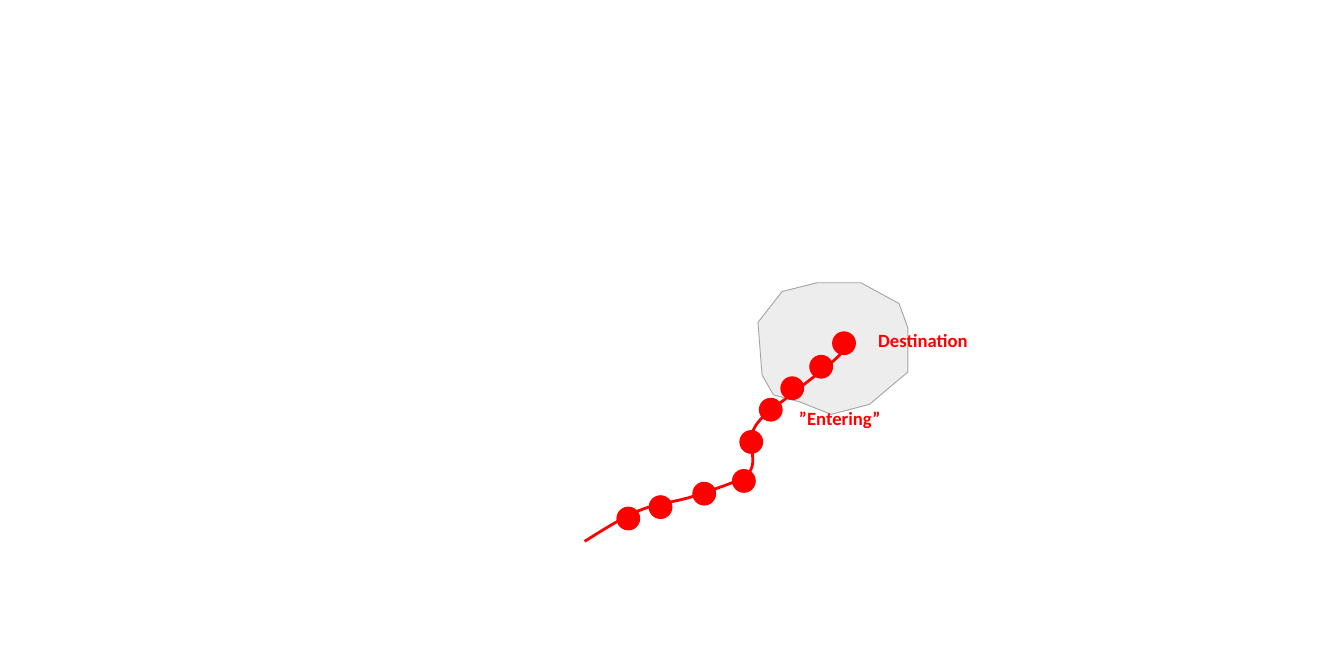
from pptx import Presentation
from pptx.dml.color import RGBColor as RGB
from pptx.enum.shapes import MSO_SHAPE as Shape
from pptx.enum.text import MSO_AUTO_SIZE as AutoSize
from pptx.util import Inches, Pt

COLORS = {"route": "FF0000", "zone": "EDEDED", "zone_edge": "A5A5A5"}
COLS, ROWS = 20, 9.96
CELL = Inches(1)
DOT = 0.34
STEPS = 10

ZONE = [(11.34, 5.58), (11.28, 4.8), (11.64, 4.34), (12.16, 4.21),
        (12.81, 4.21), (13.38, 4.52), (13.51, 4.88), (13.51, 5.54),
        (12.94, 6.02), (12.37, 6.17), (11.89, 5.98), (11.51, 5.88)]
ROUTE_START = (8.7, 8.06)
ROUTE_CURVES = [
    ((8.97, 7.89), (9.24, 7.72), (9.49, 7.61)),
    ((9.75, 7.5), (10, 7.48), (10.25, 7.41)),
    ((10.49, 7.33), (10.8, 7.23), (10.96, 7.16)),
    ((11.12, 7.08), (11.15, 7.07), (11.19, 6.95)),
    ((11.23, 6.84), (11.16, 6.59), (11.19, 6.46)),
    ((11.23, 6.33), (11.3, 6.26), (11.4, 6.16)),
    ((11.5, 6.07), (11.6, 6.01), (11.78, 5.87)),
    ((11.96, 5.72), (12.35, 5.44), (12.49, 5.29)),
    ((12.63, 5.15), (12.63, 4.98), (12.63, 4.98)),
]
STOPS = [(9.18, 7.55), (9.66, 7.38), (10.31, 7.18), (10.9, 6.99),
         (11.01, 6.41), (11.3, 5.93), (11.62, 5.61), (12.05, 5.29),
         (12.39, 4.94)]
LABELS = [("Destination", 12.97, 4.84, 1.55), ("”Entering”", 11.79, 6.01, 1.42)]


def grid(*cells):
    return [round(c * CELL) for c in cells]


def color(name):
    return RGB.from_string(COLORS[name])


def style(sp, fill, line, width):
    sp.shadow.inherit = False
    if fill:
        sp.fill.solid()
        sp.fill.fore_color.rgb = color(fill)
    else:
        sp.fill.background()
    sp.line.color.rgb = color(line)
    sp.line.width = Pt(width)


def curve_points(start, curves):
    points = [start]
    for b, c, d in curves:
        a = points[-1]
        for i in range(1, STEPS + 1):
            t = i / STEPS
            u = 1 - t
            points.append(tuple(
                u**3 * a[k] + 3 * u * u * t * b[k] + 3 * u * t * t * c[k] + t**3 * d[k]
                for k in (0, 1)))
    return points


def add_outline(s, points, close, fill, line, width):
    start, *rest = [grid(*p) for p in points]
    builder = s.shapes.build_freeform(*start)
    builder.add_line_segments(rest, close=close)
    style(builder.convert_to_shape(), fill, line, width)


def add_stop(s, x, y):
    sp = s.shapes.add_shape(Shape.OVAL, *grid(x, y, DOT, DOT))
    style(sp, "route", "route", 1)


def add_label(s, text, x, y, width):
    tf = s.shapes.add_textbox(*grid(x, y, width, 0.44)).text_frame
    tf.word_wrap = False
    tf.auto_size = AutoSize.SHAPE_TO_FIT_TEXT
    p = tf.paragraphs[0]
    p.text = text
    p.font.name = "Calibri"
    p.font.size = Pt(20)
    p.font.bold = True
    p.font.color.rgb = color("route")


def main():
    prs = Presentation()
    prs.slide_width, prs.slide_height = grid(COLS, ROWS)
    s = prs.slides.add_slide(prs.slide_layouts[6])
    add_outline(s, ZONE, True, "zone", "zone_edge", 1)
    add_outline(s, curve_points(ROUTE_START, ROUTE_CURVES), False, None, "route", 3)
    for stop in STOPS:
        add_stop(s, *stop)
    for label in LABELS:
        add_label(s, *label)
    prs.save("out.pptx")


if __name__ == "__main__":
    main()
